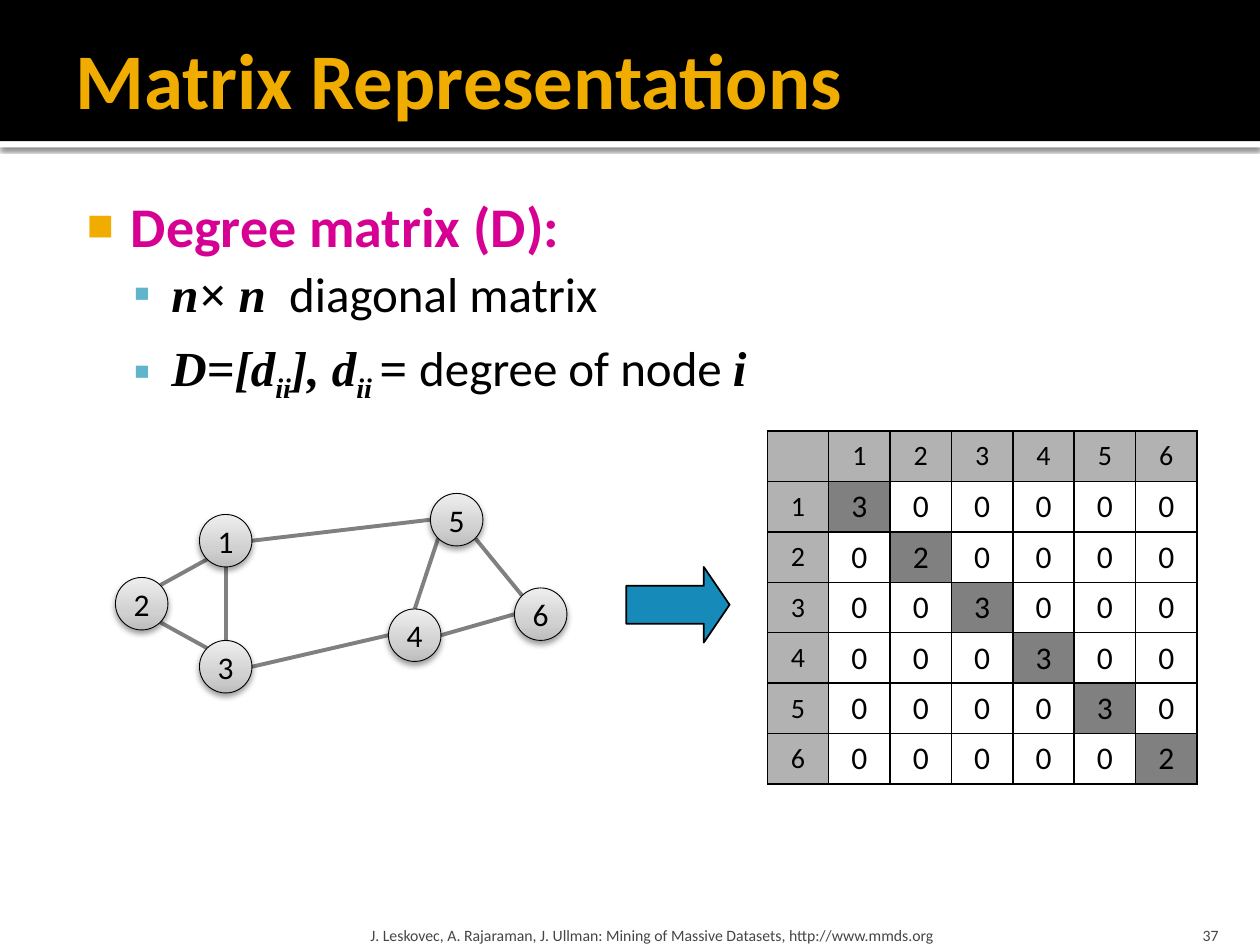
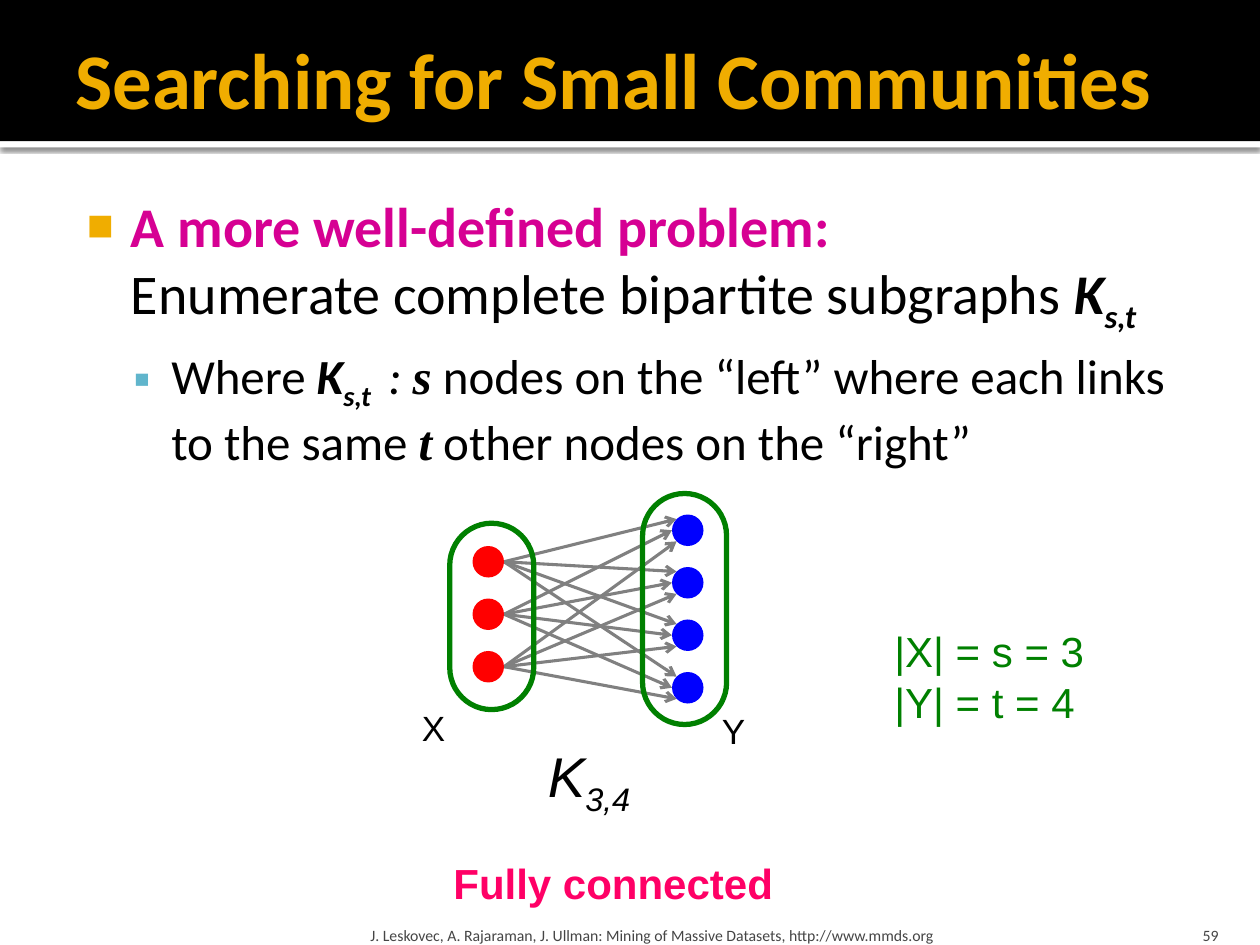
from copy import deepcopy
from math import cos, radians, sin

from pptx import Presentation
from pptx.dml.color import RGBColor
from pptx.enum.shapes import MSO_CONNECTOR, MSO_SHAPE
from pptx.enum.text import MSO_ANCHOR, MSO_AUTO_SIZE, PP_ALIGN
from pptx.oxml import parse_xml
from pptx.oxml.ns import nsdecls, qn
from pptx.util import Pt


class Theme:
    black, white, gold, teal, magenta = "000000", "FFFFFF", "F0AD00", "60B5CC", "D60093"
    edge, header, diagonal, arrow = "808080", "B2B2B2", "808080", "168BBA"
    red, blue, green, pink, footer = "FF0000", "0000FF", "008000", "FF0066", "454545"
    node = [(0, "BDBDBD"), (0.35, "D1D1D1"), (1, "EEEEEE")]
    sans, serif, plain = "Calibri", "Times New Roman", "Arial"
    title_size, topic_size, detail_size, footer_size = 45, 32, 28, 9
    cell_size, header_size, formula_size, label_size, caption_size = 18, 16, 32, 20, 24


def write(frame, paragraphs, settings):
    for name, value in settings.items():
        setattr(frame, name, value)
    for index, (layout, runs) in enumerate(paragraphs):
        paragraph = frame.add_paragraph() if index else frame.paragraphs[0]
        bullet = layout.get("bullet")
        if bullet:
            properties = paragraph._p.get_or_add_pPr()
            character, color, percent, margin, indent = bullet
            properties.set("marL", str(Pt(margin)))
            properties.set("indent", str(Pt(indent)))
            for xml in (
                f'<a:buClr {nsdecls("a")}><a:srgbClr val="{color}"/></a:buClr>',
                f'<a:buSzPct {nsdecls("a")} val="{percent * 1000}"/>',
                f'<a:buFont {nsdecls("a")} typeface="{Theme.plain}"/>',
                f'<a:buChar {nsdecls("a")} char="{character}"/>',
            ):
                properties.append(parse_xml(xml))
        for name in ("alignment", "space_before"):
            if name in layout:
                setattr(paragraph, name, layout[name])
        for text, style in runs:
            if text == "\n":
                paragraph.add_line_break()
                continue
            run = paragraph.add_run()
            run.text = text
            run.font.color.rgb = RGBColor.from_string(style["color"])
            run.font.size = Pt(style["size"])
            for name in ("name", "bold", "italic"):
                setattr(run.font, name, style.get(name))
            if style.get("subscript"):
                run._r.get_or_add_rPr().set("baseline", "-25000")


def draw(slide, kind, box, fill=None, line=None, weight=1, shadow=None):
    shape = slide.shapes.add_shape(kind, *map(Pt, box))
    shape.shadow.inherit = False
    if fill is None:
        shape.fill.background()
    elif isinstance(fill, list):
        shape.fill.gradient()
        shape.fill.gradient_angle = 90
        stop_list = shape.element.spPr.find(".//" + qn("a:gsLst"))
        stop_list.insert(1, deepcopy(stop_list[0]))
        for stop, (position, color) in zip(shape.fill.gradient_stops, fill):
            stop.position = position
            stop.color.rgb = RGBColor.from_string(color)
    else:
        shape.fill.solid()
        shape.fill.fore_color.rgb = RGBColor.from_string(fill)
    if line:
        shape.line.color.rgb = RGBColor.from_string(line)
        shape.line.width = Pt(weight)
    else:
        shape.line.fill.background()
    if shadow:
        opacity, blur, distance = shadow
        shape.element.spPr.find(qn("a:effectLst")).append(parse_xml(
            f'<a:outerShdw {nsdecls("a")} blurRad="{Pt(blur)}" dist="{Pt(distance)}" '
            f'dir="5400000" rotWithShape="0"><a:srgbClr val="{Theme.black}">'
            f'<a:alpha val="{opacity * 1000}"/></a:srgbClr></a:outerShdw>'))
    return shape


topic = dict(name=Theme.sans, size=Theme.topic_size, color=Theme.magenta, bold=True)
statement = {**topic, "color": Theme.black, "bold": False}
statement_symbol = {**statement, "bold": True, "italic": True}
detail = {**statement, "size": Theme.detail_size}
detail_symbol = {**detail, "bold": True, "italic": True}
math = {**detail_symbol, "name": Theme.serif}
math_index = {**math, "subscript": True}
topic_bullet = ("■", Theme.gold, 80, 34.56, -25.2)
detail_bullet = ("▪", Theme.teal, 100, 57.6, -21.6)

contents = [
    ("Matrix Representations", "37", [
        (dict(bullet=topic_bullet), [("Degree matrix (D):", topic)]),
        (dict(bullet=detail_bullet, space_before=Pt(2.8)), [
            ("n× n ", math), (" diagonal matrix", detail)]),
        (dict(bullet=detail_bullet, space_before=Pt(8.4)), [
            ("D=[d", math), ("ii", math_index), ("], d", math), ("ii ", math_index),
            ("= ", math), ("degree of node ", detail), ("i", math)]),
    ]),
    ("Searching for Small Communities", "59", [
        (dict(bullet=topic_bullet), [
            ("A more well-defined problem:", topic), ("\n", topic),
            ("Enumerate complete bipartite subgraphs ", statement),
            ("K", statement_symbol), ("s,t", {**statement_symbol, "subscript": True})]),
        (dict(bullet=detail_bullet, space_before=Pt(5.6)), [
            ("Where ", detail), ("K", detail_symbol),
            ("s,t ", {**detail_symbol, "subscript": True}),
            (" : ", {**detail_symbol, "bold": False}), ("s", math),
            (" nodes on the “left” where each links to the same ", detail),
            ("t", math), (" other nodes on the “right”", detail)]),
    ]),
]

presentation = Presentation()
presentation.slide_width, presentation.slide_height = Pt(720), Pt(540)
title_style = {**topic, "size": Theme.title_size, "color": Theme.gold}
footer_style = dict(name=Theme.sans, size=Theme.footer_size, color=Theme.footer)
citation = "J. Leskovec, A. Rajaraman, J. Ullman: Mining of Massive Datasets, http://www.mmds.org"
footer_frame = dict(word_wrap=True, vertical_anchor=MSO_ANCHOR.BOTTOM, margin_bottom=0)

for title, number, body in contents:
    slide = presentation.slides.add_slide(presentation.slide_layouts[6])
    draw(slide, MSO_SHAPE.RECTANGLE, (0, 80.64, 720, 3.6), Theme.white, shadow=(60, 2.5, 0.8))
    draw(slide, MSO_SHAPE.RECTANGLE, (0, 0, 720, 80.64), Theme.black)
    for box, paragraphs, settings in (
        ((36, 5.76, 684, 77.76), [({}, [(title, title_style)])],
         dict(word_wrap=True, vertical_anchor=MSO_ANCHOR.MIDDLE, margin_right=Pt(3.6))),
        ((36, 102.24, 648, 414), body,
         dict(word_wrap=True, margin_left=Pt(4.32), margin_top=Pt(7.2))),
        ((208.08, 518.4, 433.44, 21.6), [({}, [(citation, footer_style)])],
         {**footer_frame, "margin_left": Pt(3.6), "margin_right": Pt(3.6)}),
        ((645.84, 518.4, 57.6, 21.6),
         [(dict(alignment=PP_ALIGN.RIGHT), [(number, footer_style)])], footer_frame),
    ):
        write(slide.shapes.add_textbox(*map(Pt, box)).text_frame, paragraphs, settings)

matrix_slide, community_slide = presentation.slides
node_size, member_size = 30, 18
nodes = {1: (114, 294), 2: (66, 330), 3: (114, 366),
         4: (222, 348), 5: (246, 282), 6: (294, 336)}
left_members = [(270, 312 + 30 * row) for row in range(3)]
right_members = [(384, 294 + 30 * row) for row in range(4)]

TOP, TOP_LEFT, LEFT, BOTTOM_LEFT, BOTTOM, BOTTOM_RIGHT, RIGHT, TOP_RIGHT = range(8)
links = [(1, BOTTOM_LEFT, 2, TOP_RIGHT), (2, BOTTOM_RIGHT, 3, TOP_LEFT),
         (1, BOTTOM, 3, TOP), (1, RIGHT, 5, LEFT), (3, RIGHT, 4, LEFT),
         (5, BOTTOM_RIGHT, 6, TOP_LEFT), (4, RIGHT, 6, LEFT), (5, BOTTOM_LEFT, 4, TOP)]
graph_edges = [((nodes[start], start_site), (nodes[end], end_site))
               for start, start_site, end, end_site in links]
community_edges = [((source, RIGHT), (target, site))
                   for source, site in zip(left_members, (TOP_LEFT, LEFT, BOTTOM_LEFT))
                   for target in right_members]

for slide, edges, size, weight, arrow in (
    (matrix_slide, graph_edges, node_size, 2.25, False),
    (community_slide, community_edges, member_size, 1.75, True),
):
    radius = size / 2
    for edge in edges:
        ends = []
        for (left, top), site in edge:
            angle = radians(90 + 45 * site)
            ends += [left + radius + radius * cos(angle), top + radius - radius * sin(angle)]
        connector = slide.shapes.add_connector(MSO_CONNECTOR.STRAIGHT, *map(Pt, ends))
        connector.line.color.rgb = RGBColor.from_string(Theme.edge)
        connector.line.width = Pt(weight)
        if arrow:
            connector.line._get_or_add_ln().append(
                parse_xml(f'<a:tailEnd {nsdecls("a")} type="arrow"/>'))
        connector.element.spPr.append(parse_xml(f'<a:effectLst {nsdecls("a")}/>'))

cell_style = dict(name=Theme.sans, size=Theme.cell_size, color=Theme.black)
header_style = {**cell_style, "size": Theme.header_size}
centered = dict(alignment=PP_ALIGN.CENTER)
node_frame = dict(word_wrap=False, vertical_anchor=MSO_ANCHOR.MIDDLE, margin_left=0,
                  margin_right=0, margin_top=0, margin_bottom=0)
for label, (left, top) in nodes.items():
    node = draw(matrix_slide, MSO_SHAPE.OVAL, (left, top, node_size, node_size),
                Theme.node, Theme.black, 0.5, (38, 3.5, 2))
    write(node.text_frame, [(centered, [(str(label), cell_style)])], node_frame)

block_arrow = draw(matrix_slide, MSO_SHAPE.RIGHT_ARROW, (357.84, 324, 59.04, 43.2),
                   Theme.arrow, Theme.black)
block_arrow.adjustments[1] = 0.34

degrees = [3, 2, 3, 3, 3, 2]
count = len(degrees) + 1
column_width, row_height = 35.07, 28
table = matrix_slide.shapes.add_table(
    count, count, Pt(438.48), Pt(246.24),
    Pt(column_width * count), Pt(row_height * count)).table
table.first_row = table.horz_banding = False
for index in range(count):
    table.columns[index].width = Pt(column_width)
    table.rows[index].height = Pt(row_height)
for row in range(count):
    for column in range(count):
        cell = table.cell(row, column)
        cell.vertical_anchor = MSO_ANCHOR.MIDDLE
        if row == 0 or column == 0:
            text, style, fill = str(row + column or ""), header_style, Theme.header
        elif row == column:
            text, style, fill = str(degrees[row - 1]), cell_style, Theme.diagonal
        else:
            text, style, fill = "0", cell_style, Theme.white
        write(cell.text_frame, [(centered, [(text, style)])], {})
        cell.fill.solid()
        cell.fill.fore_color.rgb = RGBColor.from_string(fill)
        for position, side in enumerate(("lnL", "lnR", "lnT", "lnB")):
            cell._tc.get_or_add_tcPr().insert(position, parse_xml(
                f'<a:{side} {nsdecls("a")} w="{Pt(1)}"><a:solidFill>'
                f'<a:srgbClr val="{Theme.black}"/></a:solidFill></a:{side}>'))

for members, color in ((left_members, Theme.red), (right_members, Theme.blue)):
    for left, top in members:
        draw(community_slide, MSO_SHAPE.OVAL, (left, top, member_size, member_size), color)
for group_box in ((257, 299, 48, 106.5), (367.2, 282, 48, 132)):
    group = draw(community_slide, MSO_SHAPE.ROUNDED_RECTANGLE, group_box,
                 line=Theme.green, weight=3)
    group.adjustments[0] = 0.5

formula = dict(name=Theme.plain, size=Theme.formula_size, color=Theme.black, italic=True)
label = dict(name=Theme.plain, size=Theme.label_size, color=Theme.black)
size_note = dict(name=Theme.plain, size=Theme.caption_size, color=Theme.green)
caption = {**size_note, "color": Theme.pink, "bold": True}
for box, lines in (
    ((306, 420, 66, 46), [[("K", formula), ("3,4", {**formula, "subscript": True})]]),
    ((504, 354, 124, 65.5), [[("|X| = s = 3", size_note)], [("|Y| = t = 4", size_note)]]),
    ((234, 400, 28, 31.5), [[("X", label)]]),
    ((405.5, 402, 28, 31.5), [[("Y", label)]]),
    ((252, 486.5, 198.5, 36), [[("Fully connected", caption)]]),
):
    write(community_slide.shapes.add_textbox(*map(Pt, box)).text_frame,
          [({}, runs) for runs in lines],
          dict(word_wrap=False, auto_size=MSO_AUTO_SIZE.SHAPE_TO_FIT_TEXT))

presentation.save("out.pptx")
